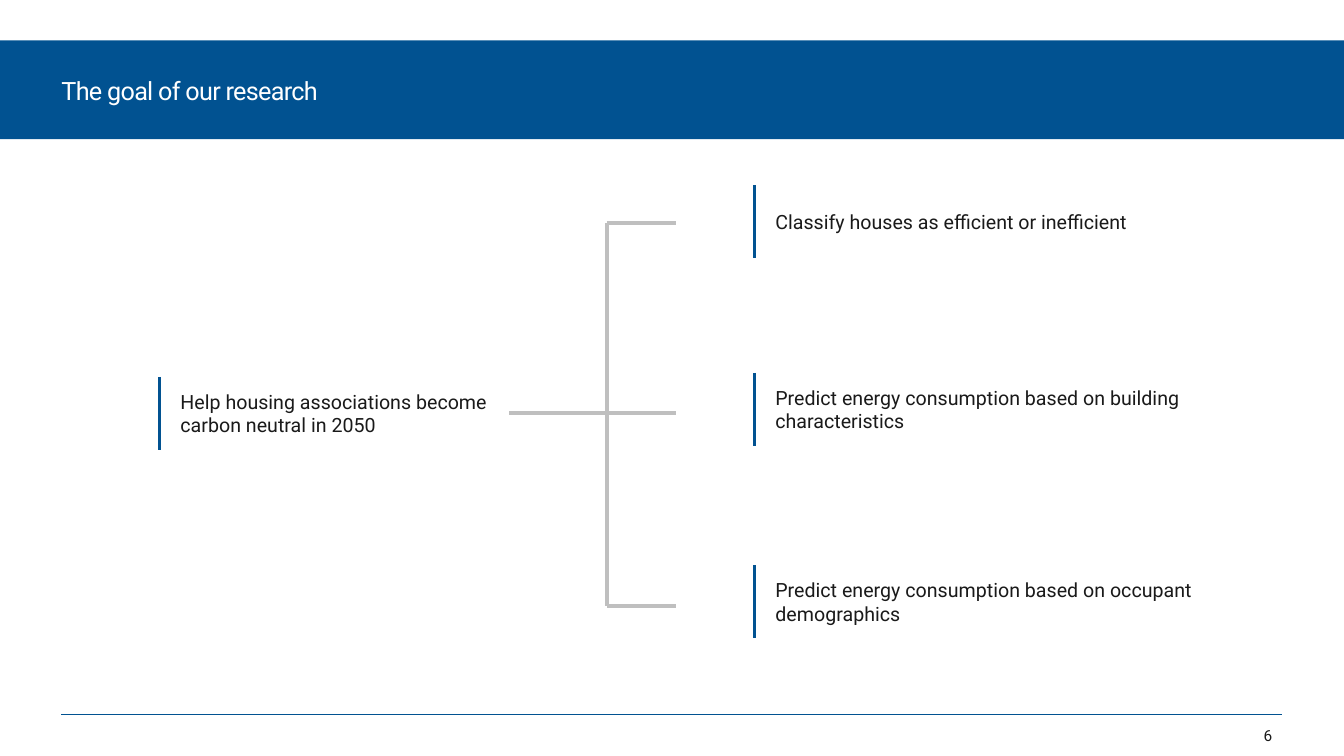
from lxml.etree import SubElement
from pptx import Presentation
from pptx.dml.color import RGBColor
from pptx.enum.shapes import MSO_CONNECTOR, MSO_SHAPE
from pptx.enum.text import MSO_ANCHOR, MSO_AUTO_SIZE, PP_ALIGN
from pptx.oxml.ns import qn
from pptx.util import Inches, Pt

BLUE = RGBColor(0x01, 0x52, 0x91)
GREY = RGBColor(0xBF, 0xBF, 0xBF)
INK = RGBColor(0x1A, 0x1A, 0x1A)
WHITE = RGBColor(0xFF, 0xFF, 0xFF)
FONT = "Roboto"

WIDTH, HEIGHT = 13.33, 7.5
MARGIN = 0.61
BAR_HEIGHT = 0.72
BAR_GAP = 0.21

MAIN_GOAL = "Help housing associations become carbon neutral in 2050"
SUBGOALS = [
    (2.2, "Classify houses as efficient or inefficient"),
    (4.06, "Predict energy consumption based on building characteristics"),
    (5.97, "Predict energy consumption based on occupant demographics"),
]


def add_line(s, start, end, color, weight):
    points = [Inches(v) for v in (*start, *end)]
    line = s.shapes.add_connector(MSO_CONNECTOR.STRAIGHT, *points)
    line.line.color.rgb = color
    line.line.width = Pt(weight)
    SubElement(line._element.spPr, qn("a:effectLst"))


def write(sp, text, size, color, align=PP_ALIGN.LEFT):
    """Fill a shape with one unpadded, vertically centred run."""
    tf = sp.text_frame
    tf.word_wrap = True
    tf.auto_size = MSO_AUTO_SIZE.NONE
    tf.vertical_anchor = MSO_ANCHOR.MIDDLE
    tf.margin_left = tf.margin_right = tf.margin_top = tf.margin_bottom = 0
    p = tf.paragraphs[0]
    p.alignment = align
    r = p.add_run()
    r.text = text
    r.font.name, r.font.size = FONT, Pt(size)
    r.font.color.rgb = color
    return r


def add_header(s, top, height, text):
    band = s.shapes.add_shape(MSO_SHAPE.RECTANGLE, 0, Inches(top),
                              Inches(WIDTH), Inches(height))
    band.shadow.inherit = False
    band.fill.solid()
    band.fill.fore_color.rgb = BLUE
    band.line.fill.background()

    title = s.shapes.title
    title.left, title.top = Inches(MARGIN), Inches(top + 0.11)
    title.width, title.height = Inches(WIDTH - 2 * MARGIN), Inches(height - 0.21)
    r = write(title, text, 18, WHITE)
    r.font._element.set("spc", "-50")
    title._element.addprevious(band._element)


def add_footer(s, top, number):
    right = WIDTH - MARGIN
    add_line(s, (MARGIN, top), (right, top), BLUE, 1)
    box = s.shapes.add_textbox(Inches(right - 0.6), Inches(top + 0.01),
                               Inches(0.5), Inches(0.39))
    write(box, number, 11, INK, PP_ALIGN.RIGHT)


def add_goal(s, left, middle, width, text):
    """Place a goal beside its blue bar, both centred on the middle height."""
    top = middle - BAR_HEIGHT / 2
    add_line(s, (left, top), (left, top + BAR_HEIGHT), BLUE, 2.25)
    box = s.shapes.add_textbox(Inches(left + BAR_GAP), Inches(top),
                               Inches(width), Inches(BAR_HEIGHT))
    write(box, text, 14, INK)


def add_bracket(s, left, stem, right, top, middle, bottom):
    add_line(s, (left, middle), (right, middle), GREY, 2.75)
    add_line(s, (stem, top), (stem, bottom), GREY, 2.75)
    for y in (top, bottom):
        add_line(s, (stem, y), (right, y), GREY, 2.75)


def main():
    prs = Presentation()
    prs.slide_width, prs.slide_height = Inches(WIDTH), Inches(HEIGHT)
    s = prs.slides.add_slide(prs.slide_layouts[5])
    add_header(s, 0.4, 0.98, "The goal of our research")
    add_goal(s, 1.58, 4.1, 3.26, MAIN_GOAL)
    add_bracket(s, left=5.05, stem=6.02, right=6.7, top=2.21, middle=4.1, bottom=6.01)
    for middle, text in SUBGOALS:
        add_goal(s, 7.48, middle, 4.29, text)
    add_footer(s, 7.09, "6")
    prs.save("out.pptx")


if __name__ == "__main__":
    main()
